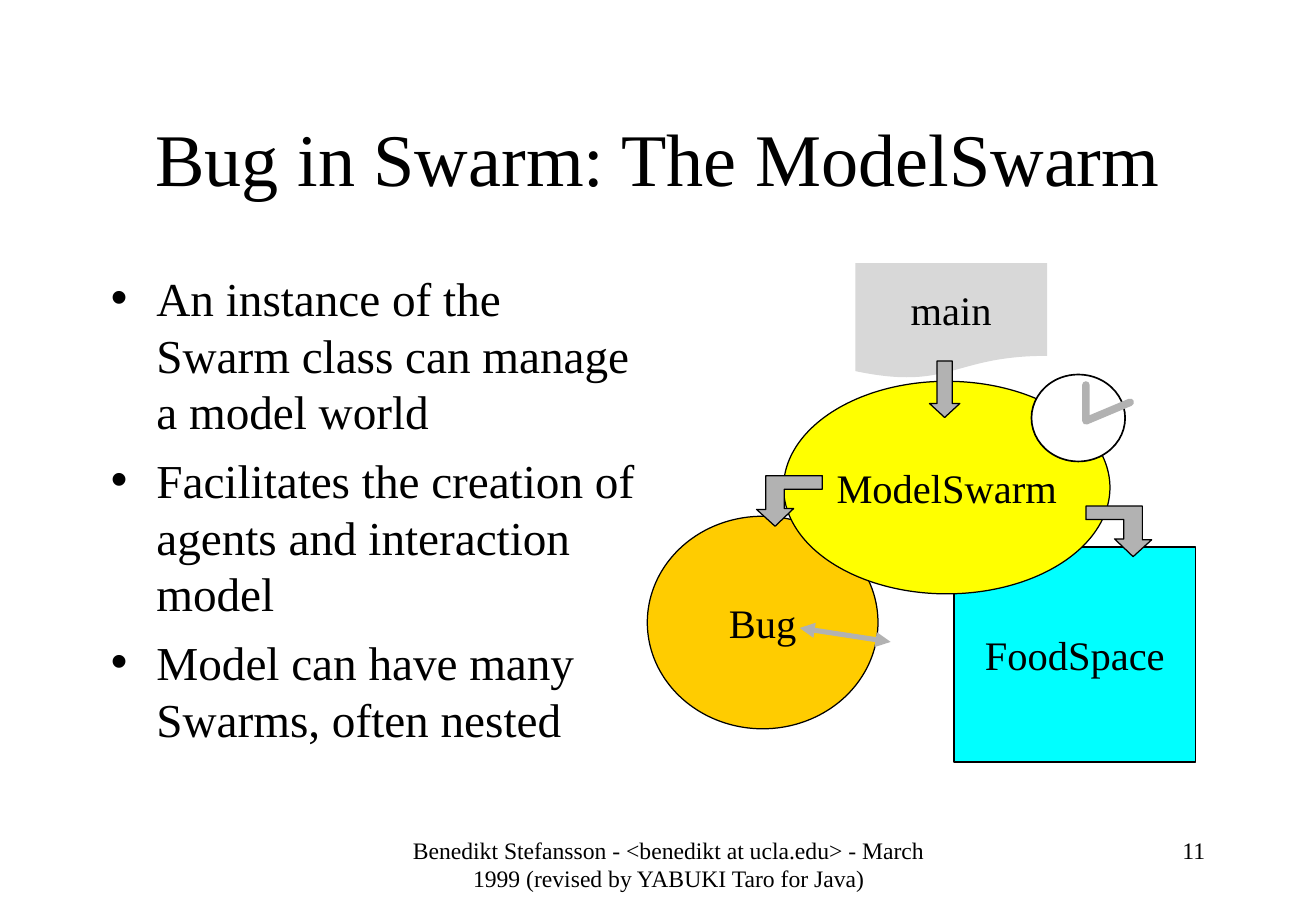
"""Build the slide on the ModelSwarm and the parts it creates."""
from lxml.etree import SubElement
from pptx import Presentation
from pptx.dml.color import RGBColor as Rgb
from pptx.enum.shapes import MSO_CONNECTOR as Link, MSO_SHAPE as Kind
from pptx.enum.text import MSO_ANCHOR as Anchor, MSO_AUTO_SIZE as Auto, PP_ALIGN as Align
from pptx.oxml.ns import qn
from pptx.util import Pt

FONT = "Times New Roman"
HUES = {"ink": "000000", "gray": "B2B2B2", "gold": "FFCC00", "cyan": "00FFFF",
        "yellow": "FFFF00", "white": "FFFFFF"}
TITLE = "Bug in Swarm: The ModelSwarm"
POINTS = [
    "An instance of the Swarm class can manage a model world",
    "Facilitates the creation of agents and interaction model",
    "Model can have many Swarms, often nested",
]
MAIN = ("main", Kind.FLOWCHART_DOCUMENT, (507, 156, 113.75, 68.5), "gray", 0)
AGENTS = [
    ("Bug", Kind.OVAL, (383.75, 306, 136.75, 126), "gold", 0.75),
    ("FoodSpace", Kind.RECTANGLE, (565.5, 324.25, 143.25, 127.5), "cyan", 0.75),
]
MODEL = ("ModelSwarm", Kind.OVAL, (464.5, 226, 193.5, 126), "yellow", 0.75)
DOWN = ("", Kind.DOWN_ARROW, (551, 214, 18, 33.5), "gray", 0.75)
CLOCK = ("", Kind.OVAL, (611.5, 222, 55.5, 51.5), "white", 1)
SENSE = (474, 372.25, 528, 380.5)
HANDS = [(643.75, 228.25), (643.75, 249.5), (670, 238.5)]
BEND = [(0, 0), (0, 8), (22.5, 8), (22.5, 19.5), (17, 19.5), (28, 30),
        (39, 20), (33.5, 20), (33.5, 0)]
BENDS = [(487.5, 282, -1), (643.75, 300, 1)]
FOOT = [
    ("Benedikt Stefansson - <benedikt at ucla.edu> - March 1999 "
     "(revised by YABUKI Taro for Java)", (234, 492, 325, 36), Align.CENTER),
    ("11", (578, 492, 143.5, 36), Align.RIGHT),
]


def hue(name):
    return Rgb.from_string(HUES[name])


def style(para, size, align):
    para.alignment = align
    para.font.size = Pt(size)
    para.font.name = FONT
    para.font.color.rgb = hue("ink")


def place(shape, box):
    shape.left, shape.top, shape.width, shape.height = map(Pt, box)


def paint(shape, fill, width):
    shape.shadow.inherit = False
    shape.fill.solid()
    shape.fill.fore_color.rgb = hue(fill)
    if width:
        shape.line.color.rgb = hue("ink")
        shape.line.width = Pt(width)
    else:
        shape.line.fill.background()


def draw(shapes, part):
    text, kind, box, fill, width = part
    shape = shapes.add_shape(kind, *map(Pt, box))
    paint(shape, fill, width)
    if text:
        frame = shape.text_frame
        frame.word_wrap = False
        frame.vertical_anchor = Anchor.MIDDLE
        frame.text = text
        style(frame.paragraphs[0], 24, Align.CENTER)
    return shape


def trace(shapes, dots, close):
    dots = [(Pt(x), Pt(y)) for x, y in dots]
    form = shapes.build_freeform(*dots[0], scale=1)
    form.add_line_segments(dots[1:], close=close)
    return form.convert_to_shape()


def main():
    deck = Presentation()
    deck.slide_width, deck.slide_height = Pt(780.13), Pt(540)
    slide = deck.slides.add_slide(deck.slide_layouts[1])
    shapes = slide.shapes

    title, body = slide.placeholders
    place(title, (58.5, 48, 663.25, 90))
    title.text_frame.text = TITLE
    title.text_frame.auto_size = Auto.NONE
    title.text_frame.vertical_anchor = Anchor.MIDDLE
    style(title.text_frame.paragraphs[0], 44, Align.CENTER)

    place(body, (58.5, 156, 325, 324))
    body.text_frame.text = "\n".join(POINTS)
    body.text_frame.auto_size = Auto.NONE
    for i, para in enumerate(body.text_frame.paragraphs):
        style(para, 28, Align.LEFT)
        para.space_before = Pt(7 if i else 0)

    page = draw(shapes, MAIN)
    tint = page.fill._xPr.find(qn("a:solidFill"))[0]
    SubElement(tint, qn("a:alpha"), val="50000")
    for part in AGENTS:
        draw(shapes, part)

    sense = shapes.add_connector(Link.STRAIGHT, *map(Pt, SENSE))
    sense.line.color.rgb = hue("gray")
    sense.line.width = Pt(3)
    for end in ("a:headEnd", "a:tailEnd"):
        SubElement(sense.line._get_or_add_ln(), qn(end), type="triangle")
    SubElement(sense._element.spPr, qn("a:effectLst"))

    draw(shapes, MODEL)
    for left, top, side in BENDS:
        dots = [(left + side * x, top + y) for x, y in BEND]
        paint(trace(shapes, dots, True), "gray", 0.75)
    draw(shapes, DOWN).adjustments[1] = 0.46
    draw(shapes, CLOCK)

    hands = trace(shapes, HANDS, False)
    hands.shadow.inherit = False
    hands.fill.background()
    hands.line.color.rgb = hue("gray")
    hands.line.width = Pt(4.5)
    edge = hands.line._get_or_add_ln()
    edge.set("cap", "rnd")
    SubElement(edge, qn("a:round"))

    for text, box, align in FOOT:
        frame = shapes.add_textbox(*map(Pt, box)).text_frame
        frame.word_wrap = True
        frame.text = text
        style(frame.paragraphs[0], 14, align)

    deck.save("out.pptx")


if __name__ == "__main__":
    main()
